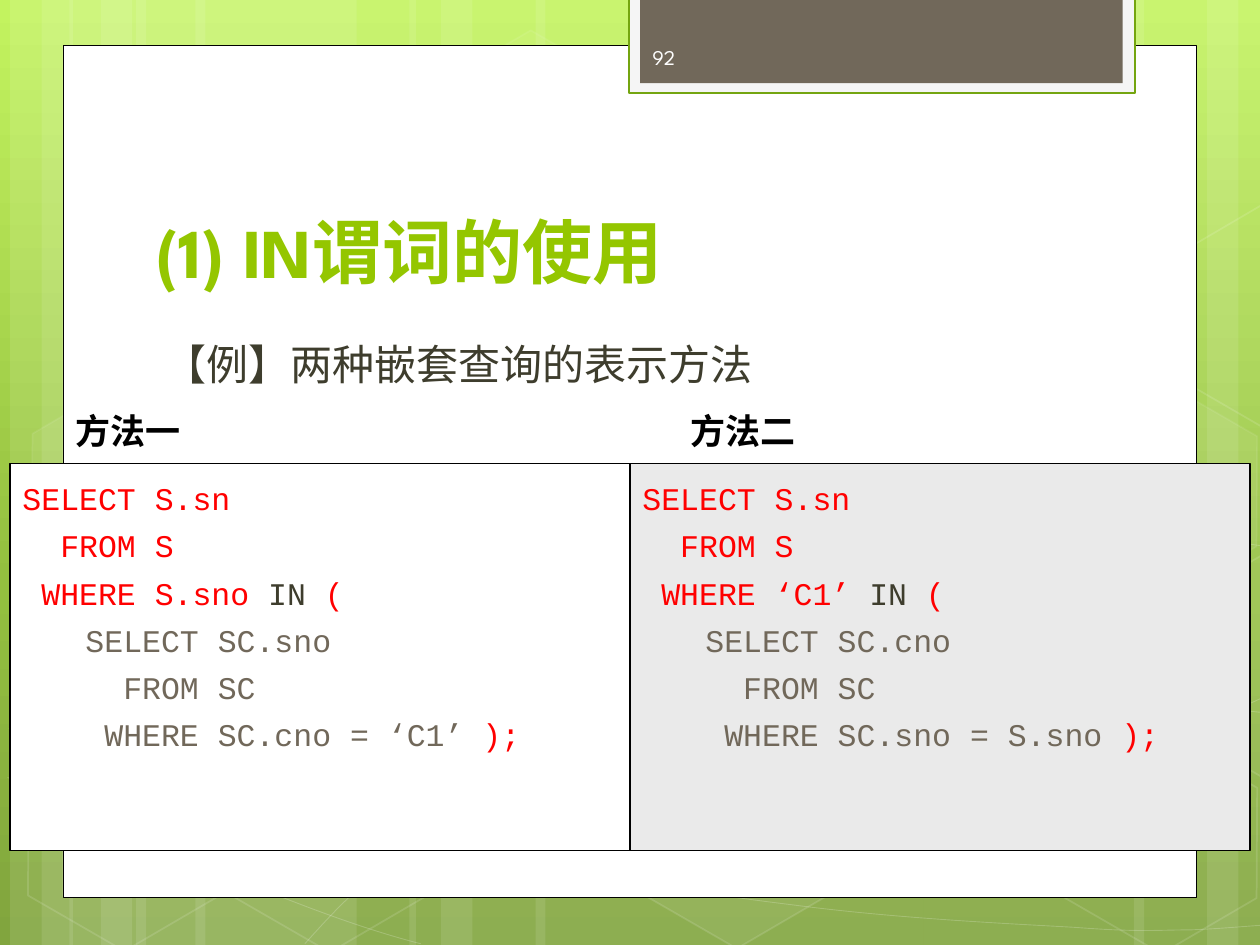
from copy import deepcopy

from lxml.etree import SubElement
from pptx import Presentation
from pptx.dml.color import RGBColor
from pptx.enum.shapes import MSO_SHAPE as Shape
from pptx.enum.text import MSO_ANCHOR as Anchor
from pptx.enum.text import PP_ALIGN as Align
from pptx.oxml.ns import qn
from pptx.util import Inches, Pt

COLORS = {
    "white": "FFFFFF", "black": "000000", "red": "FF0000", "olive": "3E3D2D",
    "taupe": "71685A", "lime": "94C600", "grey": "EAEAEA", "frame": "F5F5F5",
    "frame_edge": "74A510", "number": "FEFEFE",
}
SKY = [(0, "C3F35F"), (0.62, "93BF3F"), (1, "81A53E")]
STRIPES = [
    (1.08, 1.75), (0.08, 0.5), (0.33, 0.83), (1.55, 1.75), (0.55, 0.5), (0.8, 0.83),
    (7.33, 1.75), (9.58, 0.5), (9, 0.83), (4.25, 3.08), (3.25, 0.5), (3.5, 0.83),
]
CURVES = [
    [(0.07, 6.73), (0.61, 6.76), (1.15, 6.79), (1.9, 6.78), (2.65, 6.77), (3.58, 6.75),
     (4.58, 6.65), (5.58, 6.55), (7, 6.36), (7.92, 6.17), (8.83, 5.98), (9.77, 5.68),
     (10.07, 5.51)],
    [(0.07, 4.77), (0.36, 4.61), (0.65, 4.46), (1.21, 4.31), (1.78, 4.16), (2.59, 3.94),
     (3.47, 3.87), (4.36, 3.8), (5.44, 3.79), (6.54, 3.87), (7.64, 3.95), (9.47, 4.26),
     (10.07, 4.34)],
    [(0.06, 6.17), (1.27, 6.72), (2.47, 7.27), (3.34, 7.49)],
    [(0.07, 5.78), (0.38, 5.89), (0.7, 6), (1.28, 6.16), (1.86, 6.31), (2.73, 6.56),
     (3.57, 6.73), (4.4, 6.9), (5.45, 7.08), (6.28, 7.18), (7.11, 7.29), (8, 7.33),
     (8.53, 7.36), (9.05, 7.4), (9.19, 7.38), (9.45, 7.38), (9.71, 7.37), (9.89, 7.35),
     (10.07, 7.34)],
    [(2.42, 7.49), (2.6, 7.29), (2.78, 7.09), (3.02, 6.91), (3.26, 6.73), (3.6, 6.53),
     (3.88, 6.39), (4.16, 6.25), (4.33, 6.19), (4.7, 6.09), (5.06, 5.99), (5.73, 5.85),
     (6.08, 5.78), (6.44, 5.71), (6.49, 5.71), (6.8, 5.69), (7.11, 5.66), (7.6, 5.63),
     (7.94, 5.62), (8.29, 5.61), (8.86, 5.62), (8.86, 5.62), (9.08, 5.62), (9.31, 5.62),
     (9.53, 5.62), (9.71, 5.63), (9.88, 5.64), (9.97, 5.65), (10.06, 5.66), (10.03, 5.65),
     (10.06, 5.66)],
]
HEXAGONS = [
    (3.34, 0.36, 4, 8), (4.97, 5.89, 6, 12), (0.11, 5.91, 0, 12), (0.14, 3.12, 7, 8),
    (1.74, 5.92, 0, 12), (8.34, 5.93, 0, 12), (8.34, 3.14, 7, 8),
]
CUT_HEXAGONS = [
    ([(0.08, 4.45), (0.19, 4.38), (0.96, 4.82), (0.95, 5.7), (0.2, 6.14), (0.08, 6.07)], 10),
    ([(9.26, 4.85), (10.01, 4.41), (10.09, 4.46), (10.09, 6.13), (10.02, 6.17),
      (9.26, 5.73)], 4),
    ([(9.26, 2.07), (10.01, 1.63), (10.1, 1.68), (10.09, 3.35), (10.02, 3.39),
      (9.26, 2.95)], 0),
]
METHODS = [
    ("方法一", 0.08, 0.5, "white", "S.sno", "SC.sno", "SC.cno = ‘C1’", " );"),
    ("方法二", 5, 5.38, "grey", "‘C1’", "SC.cno", "SC.sno = S.sno ", ");"),
]


def rgb(name):
    """Return the named colour."""
    return RGBColor.from_string(COLORS[name])


def set_alpha(shape, parent, percent):
    """Make a solid colour of the shape partly transparent."""
    for color in shape._element.xpath(f"./p:spPr/{parent}a:solidFill/a:srgbClr"):
        SubElement(color, qn("a:alpha")).set("val", str(percent * 1000))


def paint(shape, fill=None, line=None, width=1, fill_alpha=100, line_alpha=100):
    """Give a shape its fill and outline, without a shadow."""
    shape.shadow.inherit = False
    if fill:
        shape.fill.solid()
        shape.fill.fore_color.rgb = rgb(fill)
    else:
        shape.fill.background()
    if line:
        shape.line.color.rgb = rgb(line)
        shape.line.width = Pt(width)
    else:
        shape.line.fill.background()
    if fill_alpha < 100:
        set_alpha(shape, "", fill_alpha)
    if line_alpha < 100:
        set_alpha(shape, "a:ln/", line_alpha)


def add_preset(slide, kind, box, **style):
    """Add a painted preset shape."""
    shape = slide.shapes.add_shape(kind, *map(Inches, box))
    paint(shape, **style)
    return shape


def add_outline(slide, points, closed, **style):
    """Add a painted freeform through the points."""
    start, *rest = [(Inches(x), Inches(y)) for x, y in points]
    builder = slide.shapes.build_freeform(*start, scale=1.0)
    builder.add_line_segments(rest, close=closed)
    outline = builder.convert_to_shape()
    paint(outline, **style)
    return outline


def add_curve(slide, points, **style):
    """Add an open cubic curve by joining each three segments into one."""
    curve = add_outline(slide, points, False, **style)
    segments = curve._element.xpath(".//a:lnTo")
    outline = segments[0].getparent()
    for index in range(0, len(segments), 3):
        bend = SubElement(outline, qn("a:cubicBezTo"))
        for segment in segments[index:index + 3]:
            bend.append(segment[0])
            outline.remove(segment)


def set_font(paragraph, name, size, color=None, bold=False):
    """Set the font that all runs of a paragraph share."""
    font = paragraph.font
    font.name, font.size, font.bold = name, Pt(size), bold
    if color:
        font.color.rgb = rgb(color)


def indent(paragraph, margin, first):
    """Set the left margin and first-line indent."""
    properties = paragraph._p.get_or_add_pPr()
    properties.set("marL", str(Inches(margin)))
    properties.set("indent", str(Inches(first)))


def add_label(slide, text, box, name, size, color, bold=False, anchor=Anchor.TOP):
    """Add a one-paragraph text box and return its paragraph."""
    frame = slide.shapes.add_textbox(*map(Inches, box)).text_frame
    frame.word_wrap = True
    frame.vertical_anchor = anchor
    paragraph = frame.paragraphs[0]
    paragraph.text = text
    set_font(paragraph, name, size, color, bold)
    return paragraph


def add_query(slide, left, fill, outer, inner, condition, ending):
    """Add a panel with a nested query."""
    panel = add_preset(slide, Shape.RECTANGLE, (left, 3.68, 4.92, 3.07),
                       fill=fill, line="black", width=0.75)
    lines = [
        (0, [("SELECT S.sn", "red")]),
        (0, [("  FROM S", "red")]),
        (0, [(f" WHERE {outer} ", "red"), ("IN ", "olive"), ("(", "red")]),
        (1, [(f"SELECT {inner}", "taupe")]),
        (1, [("  FROM SC", "taupe")]),
        (1, [(f" WHERE {condition}", "taupe"), (ending, "red")]),
    ]
    frame = panel.text_frame
    frame.word_wrap = True
    frame.vertical_anchor = Anchor.TOP
    for number, (level, runs) in enumerate(lines):
        paragraph = frame.add_paragraph() if number else frame.paragraphs[0]
        paragraph.level = level
        paragraph.alignment = Align.LEFT
        paragraph.line_spacing = 1.25
        indent(paragraph, *((0.81, -0.31) if level else (0.38, -0.38)))
        set_font(paragraph, "Courier New", 18)
        for text, color in runs:
            run = paragraph.add_run()
            run.text = text
            run.font.color.rgb = rgb(color)


def add_backdrop(slide):
    """Fill the background and lay stripes, curves and hexagons on it."""
    fill = slide.background.fill
    fill.gradient()
    fill.gradient_angle = 270
    stops = slide._element.xpath(".//a:gsLst")[0]
    stops.append(deepcopy(stops[-1]))
    for stop, (position, color) in zip(fill.gradient_stops, SKY):
        stop.position = position
        stop.color.rgb = RGBColor.from_string(color)
    for left, width in STRIPES:
        add_preset(slide, Shape.RECTANGLE, (left, 0, width, 7.5), fill="white", fill_alpha=10)
    for points in CURVES:
        add_curve(slide, points, line="white", width=0.5, line_alpha=20)
    for left, top, fill_alpha, line_alpha in HEXAGONS:
        hexagon = add_preset(slide, Shape.HEXAGON, (left, top, 1.75, 1.52),
                             fill="white" if fill_alpha else None, line="white",
                             fill_alpha=fill_alpha, line_alpha=line_alpha)
        hexagon.adjustments[0] = 0.285
        hexagon.rotation = 30
    for points, fill_alpha in CUT_HEXAGONS:
        add_outline(slide, points, True, fill="white" if fill_alpha else None,
                    line="white", fill_alpha=fill_alpha, line_alpha=12)


def main():
    """Build the slide and save it."""
    deck = Presentation()
    deck.slide_width, deck.slide_height = Inches(10), Inches(7.5)
    slide = deck.slides.add_slide(deck.slide_layouts[6])
    add_backdrop(slide)
    add_preset(slide, Shape.RECTANGLE, (0.5, 0.36, 9, 6.76),
               fill="white", line="black", width=0.5)
    add_preset(slide, Shape.RECTANGLE, (4.99, -0.02, 4.02, 0.76),
               fill="frame", line="frame_edge", width=1.25)
    add_preset(slide, Shape.RECTANGLE, (5.08, -0.02, 3.83, 0.68), fill="taupe")
    add_label(slide, "(1) IN谓词的使用", (1.14, 1.12, 7.68, 1.25),
              "League Spartan", 40, "lime", True, Anchor.BOTTOM)
    example = add_label(slide, "【例】两种嵌套查询的表示方法", (1.14, 2.54, 7.41, 3.84),
                        "Courier New", 24, "olive")
    example.line_spacing = 1.25
    indent(example, 0.07, 0)
    add_label(slide, "92", (5.08, 0.25, 1.46, 0.4), "League Spartan", 12, "number",
              anchor=Anchor.MIDDLE)
    for title, left, title_left, fill, *query in METHODS:
        add_query(slide, left, fill, *query)
        add_label(slide, title, (title_left, 3.2, 1.82, 0.44), "Arial", 20, "black", True)
    deck.save("out.pptx")


if __name__ == "__main__":
    main()
